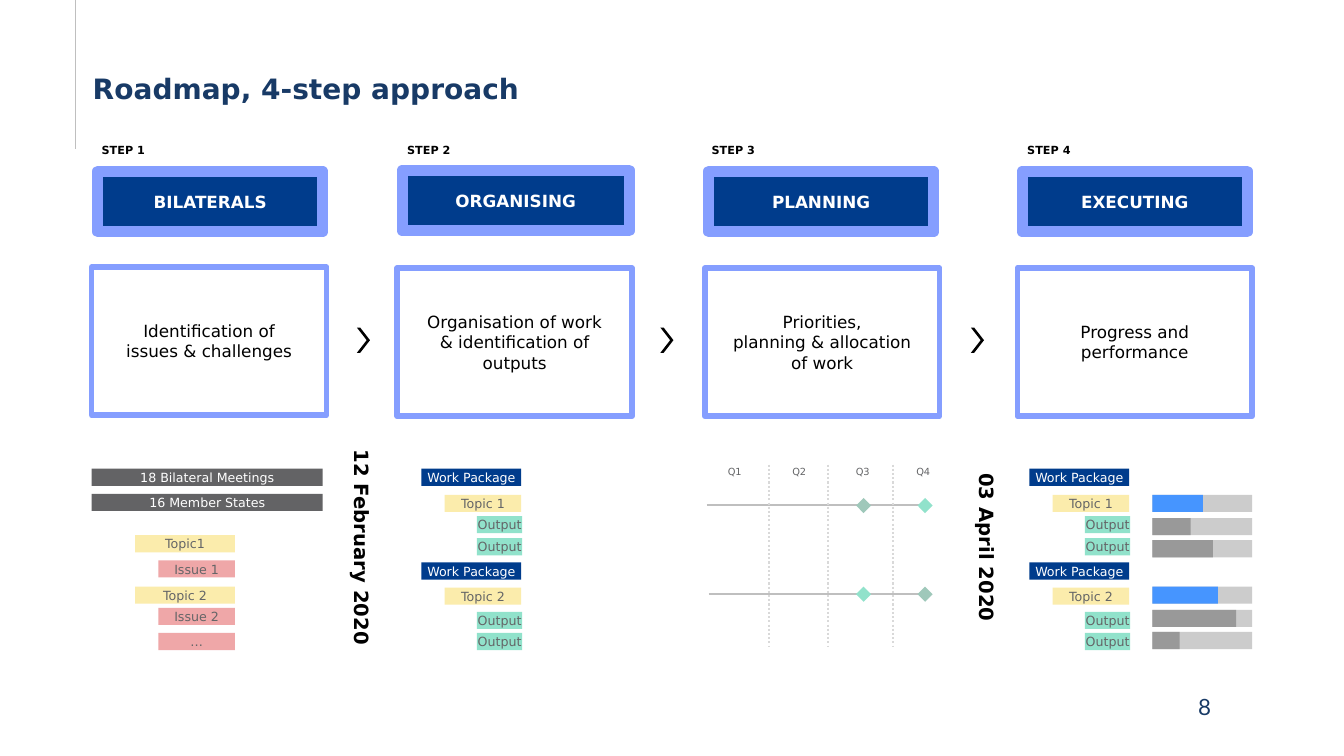
from pptx import Presentation
from pptx.dml.color import RGBColor
from pptx.enum.dml import MSO_LINE
from pptx.enum.shapes import MSO_CONNECTOR, MSO_SHAPE
from pptx.enum.text import MSO_ANCHOR, PP_ALIGN
from pptx.oxml.ns import qn
from pptx.util import Inches, Pt
from lxml import etree

NAVY = RGBColor(0x00, 0x3C, 0x8C)
TITLE = RGBColor(0x18, 0x3A, 0x66)
LILAC = RGBColor(0x85, 0x9E, 0xFF)
BLACK = RGBColor(0x00, 0x00, 0x00)
WHITE = RGBColor(0xFF, 0xFF, 0xFF)
TEXT = RGBColor(0x64, 0x65, 0x67)
CHARCOAL = RGBColor(0x63, 0x63, 0x65)
YELLOW = RGBColor(0xFB, 0xEC, 0xAC)
PINK = RGBColor(0xEF, 0xA7, 0xA8)
MINT = RGBColor(0x91, 0xE2, 0xCB)
SAGE = RGBColor(0x9F, 0xC8, 0xBA)
BLUE = RGBColor(0x46, 0x95, 0xFF)
TRACK = RGBColor(0xCC, 0xCC, 0xCC)
GREY = RGBColor(0x99, 0x99, 0x99)
RULE = RGBColor(0xBF, 0xBF, 0xBF)
DOTTED = RGBColor(0xD9, 0xD9, 0xD9)

prs = Presentation()
prs.slide_width, prs.slide_height = Inches(13.33), Inches(7.5)
s = prs.slides.add_slide(prs.slide_layouts[6])


def write(sp, text, size, color, bold=False, align=PP_ALIGN.CENTER,
          inset=None, wrap=True, anchor=MSO_ANCHOR.MIDDLE, font="DejaVu Sans"):
    tf = sp.text_frame
    tf.text = text
    tf.word_wrap = wrap
    tf.vertical_anchor = anchor
    if inset is not None:
        tf.margin_left = tf.margin_right = Inches(inset)
        tf.margin_top = tf.margin_bottom = Inches(inset)
    for p in tf.paragraphs:
        p.alignment = align
        p.font.name, p.font.size = font, Pt(size)
        p.font.bold, p.font.color.rgb = bold, color


def box(x, y, w, h, fill, border=0, kind=MSO_SHAPE.RECTANGLE):
    sp = s.shapes.add_shape(kind, Inches(x), Inches(y), Inches(w), Inches(h))
    sp.shadow.inherit = False
    sp.fill.solid()
    sp.fill.fore_color.rgb = fill
    if border:
        sp.line.color.rgb, sp.line.width = LILAC, Pt(border)
    else:
        sp.line.fill.background()
    return sp


# Margin rule, timelines and quarter dividers
lines = [(0.75, 0, 0.75, 1.48, RULE, 0.5, False),
         (7.01, 5.01, 9.16, 5.01, RULE, 1.5, False),
         (7.03, 5.89, 9.18, 5.89, RULE, 1.5, False)]
lines += [(x, 4.61, x, 6.42, DOTTED, 1.5, True) for x in (7.63, 8.21, 8.86)]
for x1, y1, x2, y2, color, width, dotted in lines:
    c = s.shapes.add_connector(MSO_CONNECTOR.STRAIGHT, Inches(x1), Inches(y1),
                               Inches(x2), Inches(y2))
    c.line.color.rgb, c.line.width = color, Pt(width)
    if dotted:
        c.line.dash_style = MSO_LINE.ROUND_DOT
    etree.SubElement(c._element.spPr, qn("a:effectLst"))

# Title and page number
title = s.shapes.add_textbox(Inches(0.92), Inches(0.75), Inches(11.5), Inches(0.39))
write(title, "Roadmap, 4-step approach", 20, TITLE, True, PP_ALIGN.LEFT, 0,
      anchor=MSO_ANCHOR.TOP)
title.text_frame.paragraphs[0].line_spacing = 0.9
page = s.shapes.add_textbox(Inches(11.41), Inches(6.81), Inches(0.7), Inches(0.4))
write(page, "8", 16, TITLE, align=PP_ALIGN.RIGHT, font="Lato")

# Four steps: label, header and description
steps = [
    ("BILATERALS", 0.91, 0.97, 1.7, 2.23, 0.91, 2.65, "Identification of issues & challenges"),
    ("ORGANISING", 3.94, 3.99, 1.69, 2.25, 3.94, 2.66,
     "Organisation of work & identification of outputs"),
    ("PLANNING", 6.96, 7.03, 1.7, 2.23, 6.99, 2.66,
     "Priorities,\nplanning & allocation of work"),
    ("EXECUTING", 10.09, 10.14, 1.7, 2.23, 10.09, 2.66, "Progress and performance"),
]
for i, (name, label_x, head_x, head_y, head_w, body_x, body_y, body) in enumerate(steps, 1):
    label = s.shapes.add_textbox(Inches(label_x), Inches(1.37), Inches(1.66), Inches(0.22))
    write(label, f"STEP {i}", 8, BLACK, True, PP_ALIGN.LEFT, anchor=MSO_ANCHOR.TOP)
    write(box(head_x, head_y, head_w, 0.6, NAVY, 8), name, 12, WHITE, True, inset=0.26)
    write(box(body_x, body_y, 2.33, 1.47, WHITE, 4), body, 12, BLACK, inset=0.26)

# Chevrons between the steps
for x in (3.54, 6.55, 9.63):
    box(x, 3.25, 0.13, 0.25, BLACK, kind=MSO_SHAPE.CHEVRON).adjustments[0] = 0.746

# Tags: meetings, topics and issues, then the two work package trees
tags = [
    ("18 Bilateral Meetings", 0.91, 4.65, 2.29, CHARCOAL, WHITE),
    ("16 Member States", 0.91, 4.9, 2.29, CHARCOAL, WHITE),
    ("Topic1", 1.34, 5.31, 0.99, YELLOW, TEXT),
    ("Issue 1", 1.57, 5.56, 0.76, PINK, TEXT),
    ("Topic 2", 1.34, 5.82, 0.99, YELLOW, TEXT),
    ("Issue 2", 1.57, 6.03, 0.76, PINK, TEXT),
    ("…", 1.57, 6.28, 0.76, PINK, TEXT),
]
for x in (4.18, 10.21):
    for topic, ys in (("Topic 1", (4.65, 4.91, 5.12, 5.34)),
                      ("Topic 2", (5.58, 5.83, 6.07, 6.28))):
        tags += [("Work Package", x, ys[0], 0.99, NAVY, WHITE),
                 (topic, x + 0.23, ys[1], 0.76, YELLOW, TEXT),
                 ("Output", x + 0.55, ys[2], 0.45, MINT, TEXT),
                 ("Output", x + 0.55, ys[3], 0.45, MINT, TEXT)]
for text, x, y, w, fill, color in tags:
    write(box(x, y, w, 0.17, fill), text, 9, color, inset=0, wrap=False)

# Progress bars
for y, done, fill in ((4.91, 0.5, BLUE), (5.14, 0.38, GREY), (5.36, 0.6, GREY),
                      (5.82, 0.65, BLUE), (6.05, 0.83, GREY), (6.27, 0.27, GREY)):
    box(11.43, y, 0.99, 0.17, TRACK)
    box(11.43, y, done, 0.17, fill)

# Quarters and milestones
for i, x in enumerate((7.12, 7.76, 8.39, 8.99), 1):
    quarter = s.shapes.add_textbox(Inches(x), Inches(4.57), Inches(0.56), Inches(0.22))
    write(quarter, f"Q{i}", 7, TEXT, align=PP_ALIGN.LEFT, anchor=MSO_ANCHOR.TOP)
for x, y, fill in ((8.49, 4.94, SAGE), (9.1, 4.94, MINT),
                   (8.49, 5.82, MINT), (9.1, 5.82, SAGE)):
    box(x, y, 0.15, 0.15, fill, kind=MSO_SHAPE.FLOWCHART_DECISION)

# Dates running downwards
for x, date in ((2.43, "12 February 2020"), (8.63, "03 April 2020")):
    sp = s.shapes.add_textbox(Inches(x), Inches(5.26), Inches(2.31), Inches(0.34))
    sp.rotation = 90
    write(sp, date, 14, BLACK, True, anchor=MSO_ANCHOR.TOP)

prs.save("out.pptx")
